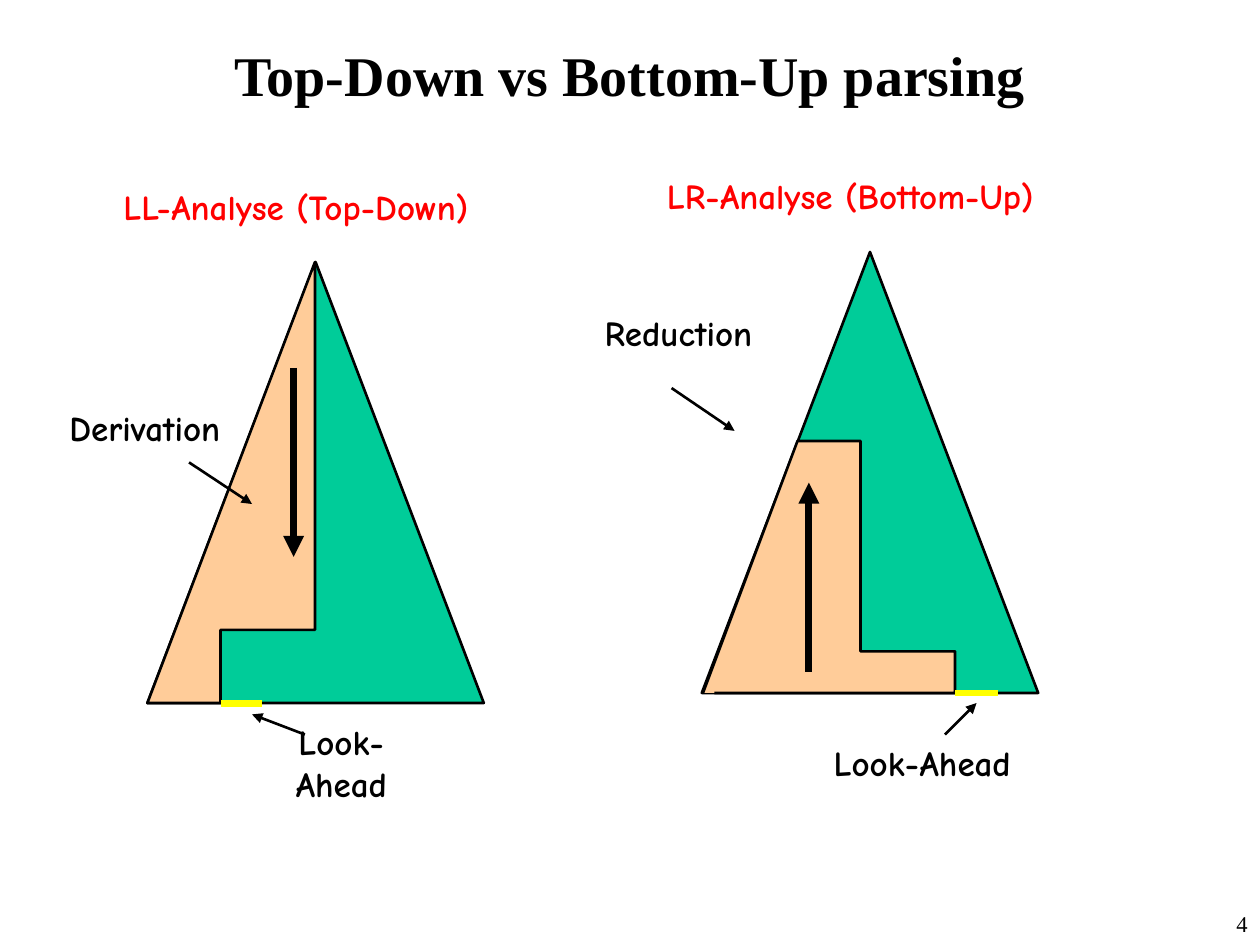
from lxml import etree
from pptx import Presentation
from pptx.dml.color import RGBColor
from pptx.enum.shapes import MSO_CONNECTOR, MSO_SHAPE
from pptx.enum.text import MSO_ANCHOR, PP_ALIGN
from pptx.oxml.ns import qn
from pptx.util import Inches, Pt

STRAIGHT = MSO_CONNECTOR.STRAIGHT
TRIANGLE = MSO_SHAPE.ISOSCELES_TRIANGLE
MIDDLE, TOP = MSO_ANCHOR.MIDDLE, MSO_ANCHOR.TOP
CENTER, RIGHT = PP_ALIGN.CENTER, PP_ALIGN.RIGHT

COLORS = {"black": "000000", "red": "FF0000", "green": "00CC99",
          "peach": "FFCC99", "yellow": "FFFF00"}
SERIF, COMIC = "Times New Roman", "Comic Neue"
TREE_SIZE = (2.67, 3.5)
LABEL_HEIGHT = 0.44
THIN, THICK = 1.5, 4

TITLE = "Top-Down vs Bottom-Up parsing"
PAGE_NUMBER = "4"
DIAGRAMS = [
    {
        "tree": (1.17, 2.08),
        "parsed": [(2.5, 2.08), (1.17, 5.58), (1.75, 5.58), (1.75, 5), (2.5, 5)],
        "closed": True,
        "look_ahead": ((1.75, 5.58), (2.08, 5.58)),
        "direction": ((2.33, 2.92), (2.33, 4.42)),
        "pointers": [((2.42, 5.83), (2, 5.67)), ((1.5, 3.67), (2, 4))],
        "labels": [
            ("LL-Analyse (Top-Down)", 0.86, 1.42, 2.98, "red", False),
            ("Derivation", 0.45, 3.17, 1.4, "black", False),
            ("Look-Ahead", 1.96, 5.83, 1.5, "black", True),
        ],
    },
    {
        "tree": (5.57, 2),
        "parsed": [(5.58, 5.5), (6.33, 3.5), (6.83, 3.5), (6.83, 5.17),
                   (7.58, 5.17), (7.58, 5.5), (5.67, 5.5)],
        "closed": False,
        "look_ahead": ((7.58, 5.5), (7.92, 5.5)),
        "direction": ((6.42, 5.33), (6.42, 3.83)),
        "pointers": [((7.5, 5.83), (7.75, 5.58)), ((5.33, 3.08), (5.83, 3.42))],
        "labels": [
            ("LR-Analyse (Bottom-Up)", 5.19, 1.33, 3.12, "red", False),
            ("Reduction", 4.7, 2.42, 1.37, "black", False),
            ("Look-Ahead", 6.42, 5.83, 1.8, "black", True),
        ],
    },
]


def rgb(name):
    return RGBColor.from_string(COLORS[name])


def inches(values):
    return [Inches(value) for value in values]


def write(box, text, size, font, color="black", bold=True, align=CENTER,
          anchor=MIDDLE, wrap=True):
    frame = box.text_frame
    frame.word_wrap = wrap
    frame.vertical_anchor = anchor
    para = frame.paragraphs[0]
    para.alignment = align
    span = para.add_run()
    span.text = text
    span.font.size = Pt(size)
    span.font.name = font
    span.font.bold = bold
    span.font.color.rgb = rgb(color)


def paint(shape, fill):
    shape.shadow.inherit = False
    shape.fill.solid()
    shape.fill.fore_color.rgb = rgb(fill)
    shape.line.color.rgb = rgb("black")
    shape.line.width = Pt(THIN)


def add_line(shapes, ends, width, color="black", arrow=True):
    start, end = ends
    line = shapes.add_connector(STRAIGHT, *inches(start + end))
    line.line.color.rgb = rgb(color)
    line.line.width = Pt(width)
    if arrow:
        etree.SubElement(line.line._get_or_add_ln(), qn("a:tailEnd"), type="triangle")
    etree.SubElement(line._element.spPr, qn("a:effectLst"))


def add_diagram(page, diagram):
    shapes = page.shapes.add_group_shape().shapes
    paint(shapes.add_shape(TRIANGLE, *inches(diagram["tree"] + TREE_SIZE)), "green")

    first, *others = [inches(point) for point in diagram["parsed"]]
    outline = shapes.build_freeform(*first)
    outline.add_line_segments(others, close=diagram["closed"])
    paint(outline.convert_to_shape(), "peach")

    add_line(shapes, diagram["look_ahead"], THICK, "yellow", arrow=False)
    add_line(shapes, diagram["direction"], THICK)
    for ends in diagram["pointers"]:
        add_line(shapes, ends, THIN)
    for text, left, top, width, color, wrap in diagram["labels"]:
        box = shapes.add_textbox(*inches((left, top, width, LABEL_HEIGHT)))
        write(box, text, 20, COMIC, color, wrap=wrap)


def main():
    deck = Presentation()
    deck.slide_width, deck.slide_height = Inches(10), Inches(7.5)
    page = deck.slides.add_slide(deck.slide_layouts[5])

    title = page.shapes.title
    title.left, title.top, title.width, title.height = inches((0, 0.21, 10, 0.75))
    write(title, TITLE, 32, SERIF)

    for diagram in DIAGRAMS:
        add_diagram(page, diagram)

    number = page.shapes.add_textbox(*inches((9.25, 7.17, 0.75, 0.33)))
    write(number, PAGE_NUMBER, 12.9, SERIF, bold=False, align=RIGHT, anchor=TOP)
    deck.save("out.pptx")


if __name__ == "__main__":
    main()
